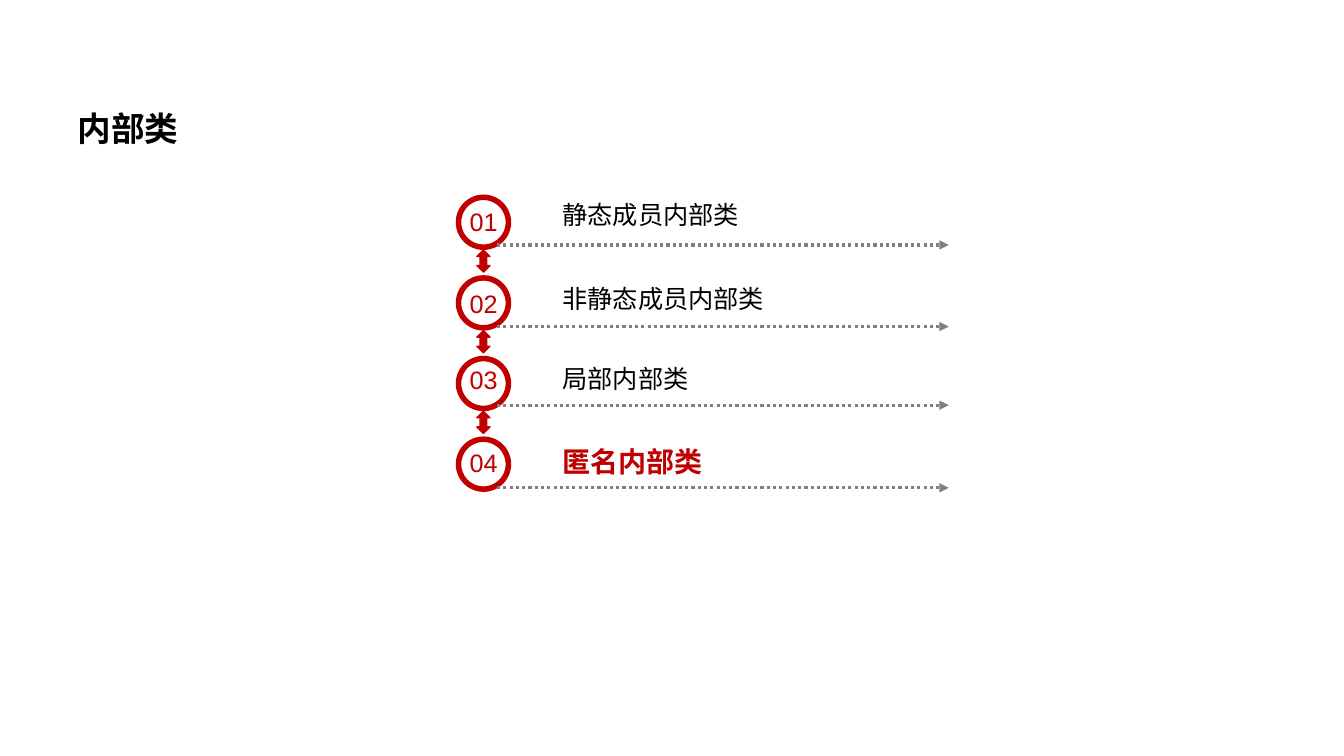
from lxml.etree import SubElement
from pptx import Presentation
from pptx.dml.color import RGBColor
from pptx.enum.dml import MSO_LINE
from pptx.enum.shapes import MSO_CONNECTOR, MSO_SHAPE
from pptx.enum.text import MSO_ANCHOR, MSO_AUTO_SIZE, PP_ALIGN
from pptx.oxml.ns import qn
from pptx.util import Inches, Pt

TITLE = "内部类"
# number, label, label size, colour, bold, then tops of number, label and rule
ROWS = [
    ("01", "静态成员内部类", 18, "black", False, 2.00, 1.93, 2.43),
    ("02", "非静态成员内部类", 18, "black", False, 2.81, 2.76, 3.24),
    ("03", "局部内部类", 18, "black", False, 3.57, 3.56, 4.02),
    ("04", "匿名内部类", 20, "red", True, 4.39, 4.36, 4.84),
]
COLORS = {"red": "C00000", "gray": "808080", "black": "000000"}
FONT = "Arial"
TOP, STEP, RING = 1.93, 0.8, 0.55


def color(name):
    return RGBColor.from_string(COLORS[name])


def style(par, size, name, bold=False):
    par.font.name = FONT
    par.font.size = Pt(size)
    par.font.bold = bold
    par.font.color.rgb = color(name)


def add_text(slide, text, box, size, name, bold=False, wrap=True):
    frame = slide.shapes.add_textbox(*map(Inches, box)).text_frame
    frame.word_wrap = wrap
    par = frame.paragraphs[0]
    par.text = text
    style(par, size, name, bold)


def add_mark(slide, kind, box):
    """Add a flat red preset shape."""
    mark = slide.shapes.add_shape(kind, *map(Inches, box))
    mark.shadow.inherit = False
    mark.fill.solid()
    mark.fill.fore_color.rgb = color("red")
    mark.line.fill.background()
    return mark


def add_rule(slide, y):
    """Add a dotted line with an arrowhead at its right end."""
    rule = slide.shapes.add_connector(
        MSO_CONNECTOR.STRAIGHT, Inches(4.93), Inches(y), Inches(9.41), Inches(y))
    rule.line.color.rgb = color("gray")
    rule.line.width = Pt(2.25)
    rule.line.dash_style = MSO_LINE.ROUND_DOT
    SubElement(rule.line._get_or_add_ln(), qn("a:tailEnd"), type="triangle")
    SubElement(rule._element.spPr, qn("a:effectLst"))


def add_title(slide):
    title = slide.shapes.title
    title.left, title.top, title.width, title.height = map(
        Inches, (0.67, 0.82, 11.74, 1.11))
    frame = title.text_frame
    frame.auto_size = MSO_AUTO_SIZE.NONE
    frame.vertical_anchor = MSO_ANCHOR.TOP
    par = frame.paragraphs[0]
    par.text = TITLE
    par.alignment = PP_ALIGN.LEFT
    par.line_spacing = 1.5
    style(par, 24, "black", True)


def main():
    prs = Presentation()
    prs.slide_width, prs.slide_height = Inches(13.33), Inches(7.5)
    slide = prs.slides.add_slide(prs.slide_layouts[5])
    add_title(slide)
    for i, (num, label, size, name, bold, num_y, label_y, rule_y) in enumerate(ROWS):
        y = TOP + i * STEP
        ring = add_mark(slide, MSO_SHAPE.DONUT, (4.52, y, RING, RING))
        ring.adjustments[0] = 0.1
        add_text(slide, num, (4.56, num_y, 0.48, 0.4), 18, "red", wrap=False)
        add_rule(slide, rule_y)
        add_text(slide, label, (5.48, label_y, 3.96, 0.4), size, name, bold)
        if i < len(ROWS) - 1:
            arrow = add_mark(slide, MSO_SHAPE.UP_DOWN_ARROW,
                             (4.73, y + RING, 0.13, 0.22))
            arrow.line.color.rgb = color("red")
            arrow.line.width = Pt(1)
    prs.save("out.pptx")


if __name__ == "__main__":
    main()
